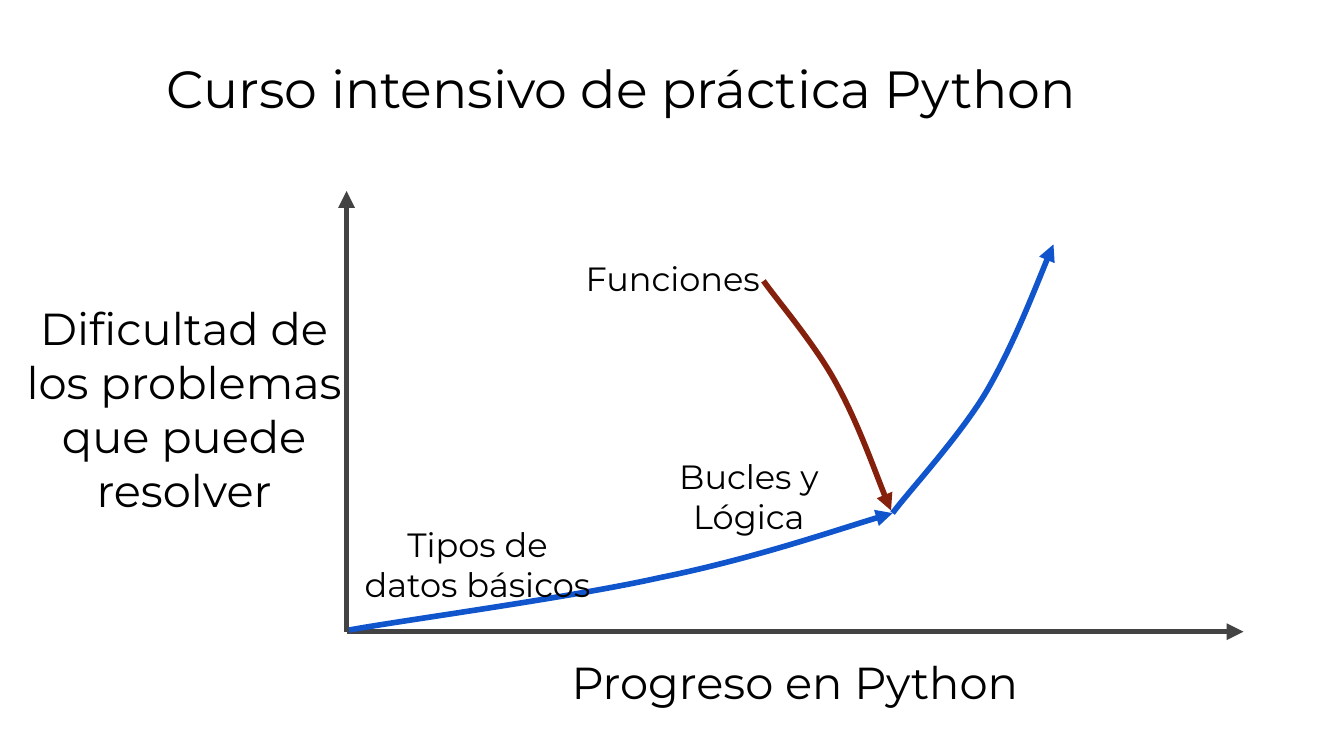
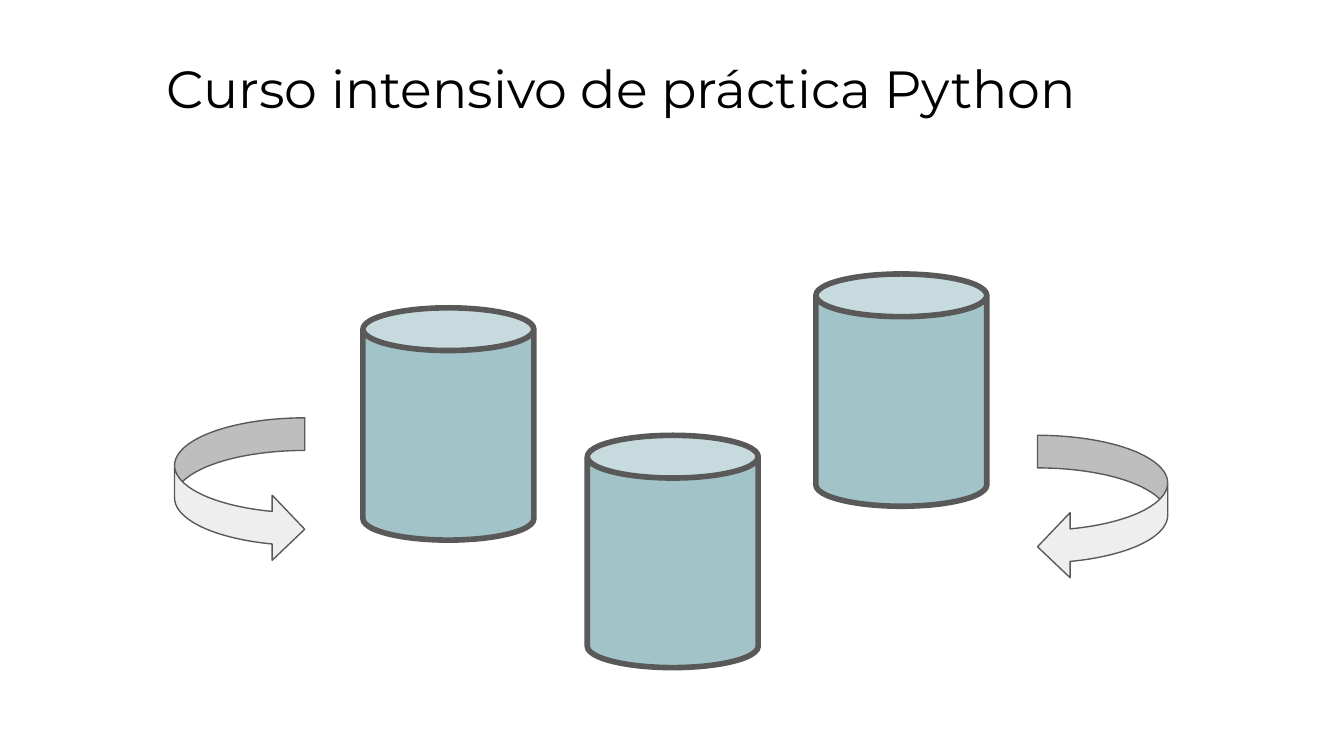
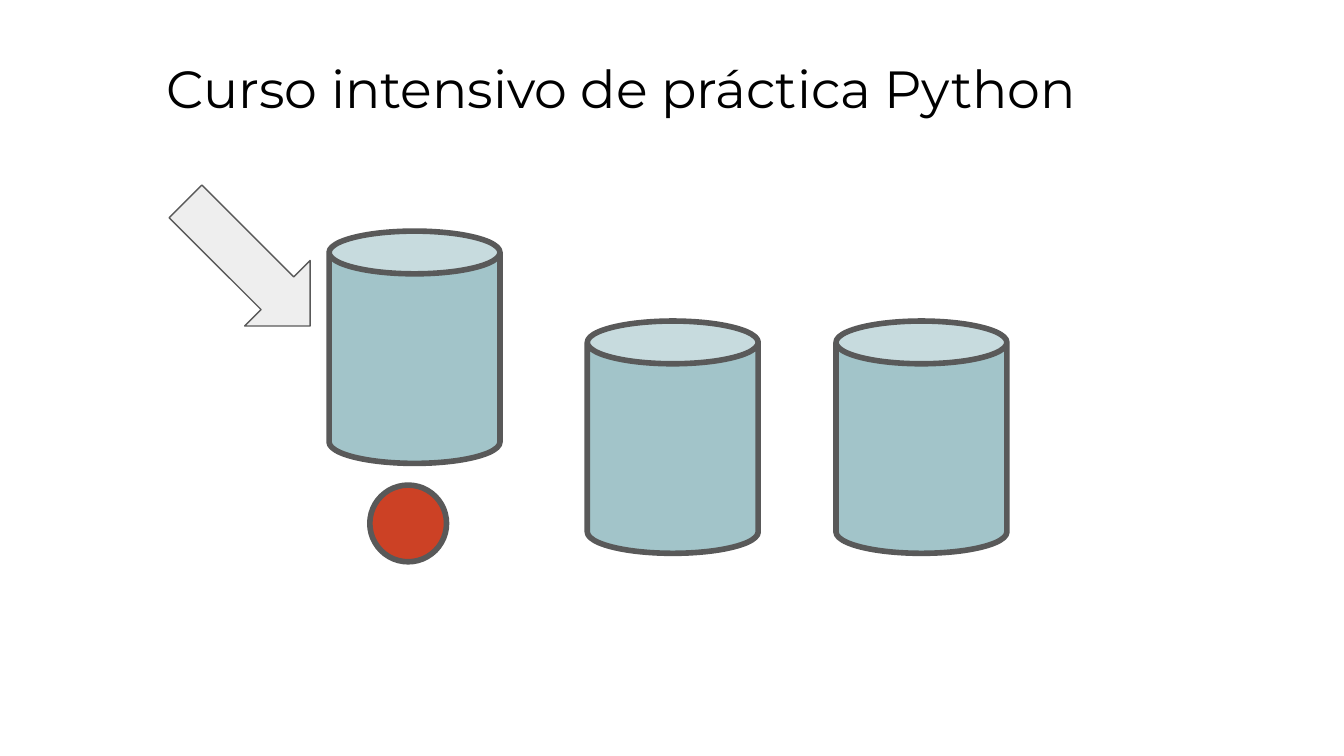
from lxml import etree
from pptx import Presentation
from pptx import util as u
from pptx.dml.color import RGBColor
from pptx.enum import shapes, text
from pptx.oxml.ns import qn

COLORS = {
    "background": "FFFFFF",
    "text": "000000",
    "axis": "434343",
    "progress": "1155CC",
    "functions": "85200C",
    "cup": "A2C4C9",
    "arrow": "EEEEEE",
    "ball": "CC4121".replace("21", "25"),
    "outline": "595959",
}
FONT = "Montserrat"
TITLE = "Curso intensivo de práctica Python"
CUP_SIZE = (3.23, 4.39)
TURN_SIZE = (2.46, 2.72)
SHAPE = shapes.MSO_SHAPE


def rgb(name):
    return RGBColor.from_string(COLORS[name])


def cm(*values):
    return [u.Cm(v) for v in values]


def set_attrs(obj, values):
    for name, value in values.items():
        setattr(obj, name, value)


def set_line(sp, color, width):
    sp.line.color.rgb = rgb(color)
    sp.line.width = u.Pt(width)


def add_head(sp):
    ln = sp.line._get_or_add_ln()
    etree.SubElement(ln, qn("a:tailEnd"), type="triangle")


def add_text(s, lines, box, size, align=text.PP_ALIGN.CENTER):
    tf = s.shapes.add_textbox(*cm(*box)).text_frame
    margins = ("margin_left", "margin_top", "margin_right", "margin_bottom")
    set_attrs(tf, dict.fromkeys(margins, u.Cm(0.25)))
    set_attrs(tf, {"word_wrap": True, "vertical_anchor": text.MSO_ANCHOR.TOP})
    for i, line in enumerate(lines):
        p = tf.paragraphs[0] if i == 0 else tf.add_paragraph()
        p.alignment = align
        r = p.add_run()
        r.text = line
        set_attrs(r.font, {"name": FONT, "size": u.Pt(size)})
        r.font.color.rgb = rgb("text")


def add_slide(prs):
    s = prs.slides.add_slide(prs.slide_layouts[6])
    s.background.fill.solid()
    s.background.fill.fore_color.rgb = rgb("background")
    add_text(s, [TITLE], (2.9, 0.81, 21.64, 1.6), 28, text.PP_ALIGN.LEFT)
    return s


def add_axis(s, start, end):
    sp = s.shapes.add_connector(shapes.MSO_CONNECTOR.STRAIGHT, *cm(*start, *end))
    set_line(sp, "axis", 3)
    add_head(sp)
    etree.SubElement(sp._element.spPr, qn("a:effectLst"))


def add_curve(s, points, color):
    start, *rest = [cm(*point) for point in points]
    builder = s.shapes.build_freeform(*start)
    builder.add_line_segments(rest, close=False)
    sp = builder.convert_to_shape()
    segments = list(sp._element.iter(qn("a:lnTo")))
    outline = segments[0].getparent()
    for i in range(0, len(segments), 3):
        bezier = etree.SubElement(outline, qn("a:cubicBezTo"))
        for segment in segments[i:i + 3]:
            bezier.append(segment[0])
            outline.remove(segment)
    sp.fill.background()
    sp.shadow.inherit = False
    set_line(sp, color, 3)
    add_head(sp)


def add_figure(s, kind, box, fill, width=3, adjust=(), rotation=0, flip=False):
    sp = s.shapes.add_shape(kind, *cm(*box))
    for i, value in enumerate(adjust):
        sp.adjustments[i] = value
    sp.fill.solid()
    sp.fill.fore_color.rgb = rgb(fill)
    set_line(sp, "outline", width)
    sp.shadow.inherit = False
    sp.rotation = rotation
    if flip:
        sp._element.spPr.find(qn("a:xfrm")).set("flipH", "1")


def add_cups(s, places):
    for place in places:
        add_figure(s, SHAPE.CAN, (*place, *CUP_SIZE), "cup", adjust=(0.25,))


def build_progress(prs):
    s = add_slide(prs)
    origin = (6.55, 11.94)
    for end in ((6.55, 3.61), (23.5, 11.94)):
        add_axis(s, origin, end)
    add_text(s, ["Progreso en Python"], (9.32, 12.12, 11.4, 1.22), 24)
    joint = (16.87, 9.7)
    add_curve(s, [(6.6, 11.91), (7.57, 11.73), (10.77, 11.3), (12.47, 10.92),
                  (14.2, 10.57), (16.13, 9.91), joint], "progress")
    add_curve(s, [joint, (17.15, 9.32), (18.11, 8.28), (18.62, 7.44),
                  (19.13, 6.58), (19.71, 5.08), (19.91, 4.62)], "progress")
    add_curve(s, [(14.43, 5.31), (14.66, 5.64), (15.42, 6.53), (15.8, 7.24),
                  (16.21, 7.98), (16.66, 9.25), (16.84, 9.65)], "functions")
    add_text(s, ["Dificultad de los problemas que puede resolver"],
             (0.18, 5.44, 6.6, 1.22), 24)
    for lines, place in (
        (["Funciones"], (10.29, 4.62)),
        (["Tipos de datos básicos"], (6.6, 9.65)),
        (["Bucles y", "Lógica"], (11.73, 8.36)),
    ):
        add_text(s, lines, (*place, 4.85, 1.07), 18)


def build_shuffle(prs):
    s = add_slide(prs)
    add_cups(s, [(6.86, 5.82), (11.1, 8.23), (15.42, 5.18)])
    for place, flip in (((3.3, 7.9), False), ((19.61, 8.23), True)):
        add_figure(s, SHAPE.CURVED_RIGHT_ARROW, (*place, *TURN_SIZE), "arrow",
                   0.75, (0.25, 0.5, 0.25), flip=flip)


def build_reveal(prs):
    s = add_slide(prs)
    add_cups(s, [(6.22, 4.37), (11.1, 6.07), (15.8, 6.07)])
    add_figure(s, SHAPE.RIGHT_ARROW, (3.02, 4.11, 3.33, 1.75), "arrow",
               0.75, (0.5, 0.5), rotation=45)
    add_figure(s, SHAPE.OVAL, (6.99, 9.17, 1.45, 1.45), "ball")


def main():
    prs = Presentation()
    set_attrs(prs, {"slide_width": u.Cm(25.4), "slide_height": u.Cm(14.29)})
    for build in (build_progress, build_shuffle, build_reveal):
        build(prs)
    prs.save("out.pptx")


main()
